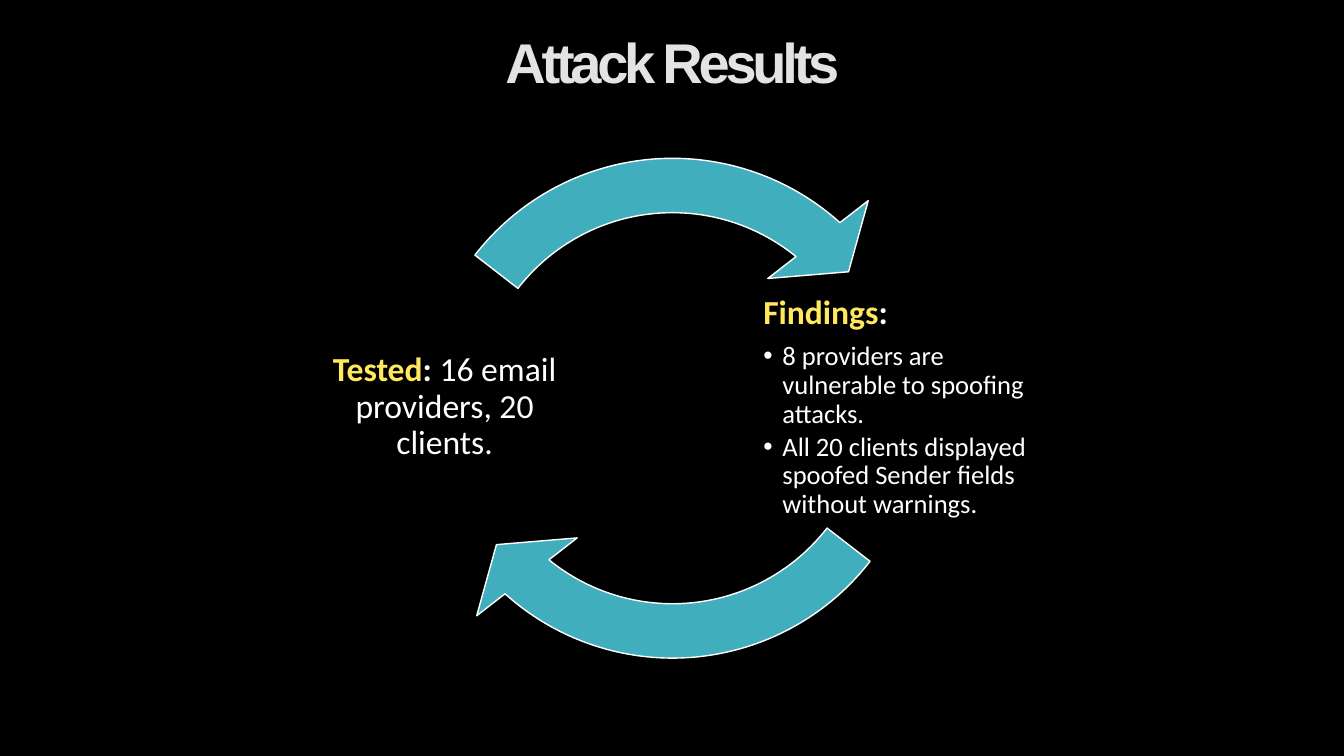
from lxml.etree import SubElement
from pptx import Presentation
from pptx.dml.color import RGBColor
from pptx.enum.shapes import MSO_SHAPE as Shape
from pptx.enum.text import MSO_ANCHOR as Anchor, MSO_AUTO_SIZE as AutoSize, PP_ALIGN as Align
from pptx.oxml.ns import qn
from pptx.util import Inches, Pt

BLACK = RGBColor(0x00, 0x00, 0x00)
WHITE = RGBColor(0xFF, 0xFF, 0xFF)
SILVER = RGBColor(0xE3, 0xE3, 0xE3)
YELLOW = RGBColor(0xFF, 0xE8, 0x5D)
TEAL = RGBColor(0x41, 0xAE, 0xBD)


def add_run(paragraph, text, size=24, color=WHITE, bold=False, font="Calibri"):
    run = paragraph.add_run()
    run.text = text
    run.font.size = Pt(size)
    run.font.name = font
    run.font.bold = bold
    run.font.color.rgb = color
    return run


def format_paragraph(paragraph, align, after=0, bullet=None):
    """Set spacing and alignment, with a hanging bullet or none at all."""
    paragraph.alignment = align
    paragraph.line_spacing = 0.9
    paragraph.space_before = Pt(0)
    paragraph.space_after = Pt(after)
    properties = paragraph._p.get_or_add_pPr()
    indent = Inches(0.19) if bullet else 0
    properties.set("marL", str(indent))
    properties.set("indent", str(-indent))
    if bullet:
        SubElement(properties, qn("a:buChar")).set("char", bullet)
    else:
        SubElement(properties, qn("a:buNone"))


presentation = Presentation()
presentation.slide_width = Inches(13.33)
presentation.slide_height = Inches(7.5)
slide = presentation.slides.add_slide(presentation.slide_layouts[1])
slide.background.fill.solid()
slide.background.fill.fore_color.rgb = BLACK

# Title
title = slide.shapes.title
title.left, title.top, title.width, title.height = map(Inches, (1.67, 0, 10, 1))
title.text_frame.vertical_anchor = Anchor.BOTTOM
title.text_frame.auto_size = AutoSize.NONE
title_paragraph = title.text_frame.paragraphs[0]
format_paragraph(title_paragraph, Align.CENTER)
title_run = add_run(title_paragraph, "Attack Results", size=40, color=SILVER, bold=True, font="Arial")
title_run.font._element.set("spc", "-300")

# Two arrows that form the cycle: (head angle, tail angle)
for head, tail in [(78.473, 22.67), (186.473, 130.67)]:
    arrow = slide.shapes.add_shape(
        Shape.CIRCULAR_ARROW, Inches(3.83), Inches(1.21), Inches(5.68), Inches(5.68))
    for index, value in enumerate((0.095, 6.857, head, tail, 0.111)):
        arrow.adjustments[index] = value
    arrow.fill.solid()
    arrow.fill.fore_color.rgb = TEAL
    arrow.line.color.rgb = WHITE
    arrow.line.width = Pt(1)
    arrow.shadow.inherit = False

# Text blocks on either side of the cycle
findings = slide.placeholders[1]
tested = slide.shapes.add_textbox(0, 0, 0, 0)
for block, left, heading, align in [
    (findings, 7.54, "Findings", Align.LEFT),
    (tested, 3.03, "Tested", Align.CENTER),
]:
    block.left, block.top = Inches(left), Inches(2.66)
    block.width = block.height = Inches(2.76)
    frame = block.text_frame
    frame.word_wrap = True
    frame.auto_size = AutoSize.NONE
    frame.vertical_anchor = Anchor.MIDDLE
    frame.margin_left = frame.margin_right = Inches(0.03)
    frame.margin_top = frame.margin_bottom = Inches(0.03)
    paragraph = frame.paragraphs[0]
    format_paragraph(paragraph, align, after=8.4)
    add_run(paragraph, heading, color=YELLOW, bold=True)
    add_run(paragraph, ":", bold=True)

add_run(tested.text_frame.paragraphs[0], " 16 email providers, 20 clients.")

for finding in [
    "8 providers are vulnerable to spoofing attacks.",
    "All 20 clients displayed spoofed Sender fields without warnings.",
]:
    paragraph = findings.text_frame.add_paragraph()
    paragraph.level = 1
    format_paragraph(paragraph, Align.LEFT, after=2.85, bullet="•")
    add_run(paragraph, finding, size=19)

presentation.save("out.pptx")
